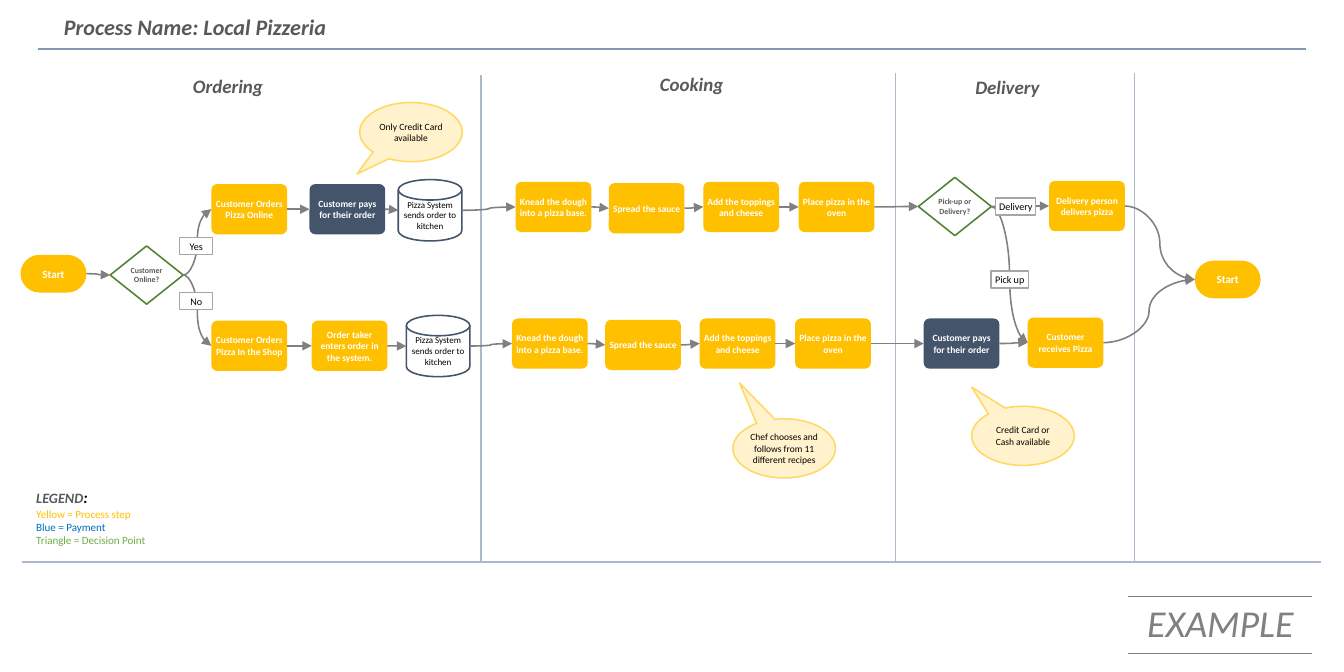
from lxml.etree import SubElement
from pptx import Presentation
from pptx.dml.color import RGBColor
from pptx.enum.shapes import MSO_CONNECTOR, MSO_SHAPE
from pptx.enum.text import MSO_ANCHOR, PP_ALIGN
from pptx.oxml import parse_xml
from pptx.oxml.ns import nsdecls, qn
from pptx.util import Cm, Pt

YELLOW, NAVY, WHITE, BLACK = "FFC000", "44546A", "FFFFFF", "000000"
DARK_GRAY, GRAY, LANE_BLUE = "595959", "808080", "ADB9CA"


def rgb(value):
    return RGBColor.from_string(value)


def write(paragraph, text, size, color=BLACK, bold=False, italic=False,
          align=PP_ALIGN.CENTER):
    paragraph.alignment = align
    run = paragraph.add_run()
    run.text = text
    font = run.font
    font.name, font.size = "Calibri", Pt(size)
    font.bold, font.italic = bold, italic
    font.color.rgb = rgb(color)


class ProcessMap:
    """Style and elements of the flow on one slide; lengths in centimetres."""

    def __init__(self, slide):
        self.slide = slide
        self.shapes = slide.shapes

    def title(self, text, left, top, width, height):
        title = self.shapes.title
        title.left, title.top, title.width, title.height = map(
            Cm, (left, top, width, height))
        title.text_frame.vertical_anchor = MSO_ANCHOR.TOP
        write(title.text_frame.paragraphs[0], text, 14, DARK_GRAY, True, True, PP_ALIGN.LEFT)

    def text_box(self, left, top, width, height):
        box = self.shapes.add_textbox(Cm(left), Cm(top), Cm(width), Cm(height))
        box.text_frame.word_wrap = True
        return box.text_frame

    def heading(self, text, left, top, width):
        frame = self.text_box(left, top, width, 0.76)
        write(frame.paragraphs[0], text, 12, DARK_GRAY, True, True)

    def shape(self, kind, text, box, fill=None, line=None, line_width=1,
              inset=0.05, adjustments=(), wrap=True, **text_format):
        shape = self.shapes.add_shape(kind, *map(Cm, box))
        shape.shadow.inherit = False
        for index, value in enumerate(adjustments):
            shape.adjustments[index] = value
        if fill:
            shape.fill.solid()
            shape.fill.fore_color.rgb = rgb(fill)
        else:
            shape.fill.background()
        if line:
            shape.line.color.rgb = rgb(line)
            shape.line.width = Pt(line_width)
        else:
            shape.line.fill.background()
        frame = shape.text_frame
        frame.word_wrap = wrap
        frame.vertical_anchor = MSO_ANCHOR.MIDDLE
        frame.margin_left = frame.margin_right = Cm(inset)
        frame.margin_top = frame.margin_bottom = Cm(inset)
        write(frame.paragraphs[0], text, **text_format)
        return shape

    def step(self, text, left, top, fill=YELLOW):
        return self.shape(MSO_SHAPE.ROUNDED_RECTANGLE, text, (left, top, 1.69, 1.12),
                          fill, adjustments=[0.116], size=6, color=WHITE, bold=True)

    def terminal(self, text, left, top):
        return self.shape(MSO_SHAPE.ROUNDED_RECTANGLE, text, (left, top, 1.47, 0.84),
                          YELLOW, adjustments=[0.5], size=7, color=WHITE, bold=True)

    def decision(self, text, left, top):
        return self.shape(MSO_SHAPE.DIAMOND, text, (left, top, 1.63, 1.3), line="548235",
                          inset=0, size=5, color=DARK_GRAY, bold=True)

    def system(self, text, left, top):
        return self.shape(MSO_SHAPE.FLOWCHART_MAGNETIC_DISK, text, (left, top, 1.42, 1.37),
                          WHITE, NAVY, inset=0.03, size=5.7)

    def callout(self, text, left, top, pointer):
        return self.shape(MSO_SHAPE.OVAL_CALLOUT, text, (left, top, 2.29, 1.32),
                          "FFF2CC", "FFD966", adjustments=pointer, size=6)

    def label(self, text, left, top, width):
        return self.shape(MSO_SHAPE.RECTANGLE, text, (left, top, width, 0.38), WHITE,
                          "A6A6A6", 0.75, wrap=False, size=6.4)

    def connector(self, kind, ends, color, width):
        connector = self.shapes.add_connector(kind, *ends)
        connector.line.color.rgb = rgb(color)
        connector.line.width = Pt(width)
        SubElement(connector._element.spPr, qn("a:effectLst"))
        return connector

    def rule(self, x1, y1, x2, y2, color=LANE_BLUE, width=1):
        self.connector(MSO_CONNECTOR.STRAIGHT, map(Cm, (x1, y1, x2, y2)), color, width)

    def flow(self, *stages):
        """Arrows from the right side of each stage to the left side of the next."""
        for source, target in zip(stages, stages[1:]):
            ends = (source.left + source.width, source.top + source.height // 2,
                    target.left, target.top + target.height // 2)
            arrow = self.connector(MSO_CONNECTOR.CURVE, ends, GRAY, 1)
            SubElement(arrow.line._get_or_add_ln(), qn("a:tailEnd"), type="triangle")
            # Disks number their connection sites differently, so their ends stay free
            disk = MSO_SHAPE.FLOWCHART_MAGNETIC_DISK
            if source.auto_shape_type != disk:
                arrow.begin_connect(source, 3)
            if target.auto_shape_type != disk:
                arrow.end_connect(target, 1)

    def stamp(self, text, left, top, width, height):
        table = self.shapes.add_table(1, 1, Cm(left), Cm(top), Cm(width), Cm(height)).table
        table.first_row = table.horz_banding = False
        cell = table.cell(0, 0)
        cell.fill.background()
        write(cell.text_frame.paragraphs[0], text, 24, GRAY, italic=True)
        borders = {"lnL": WHITE, "lnR": WHITE, "lnT": GRAY, "lnB": GRAY}
        for index, (side, color) in enumerate(borders.items()):
            cell._tc.get_or_add_tcPr().insert(index, parse_xml(
                f'<a:{side} {nsdecls("a")} w="{Pt(1)}"><a:solidFill>'
                f'<a:srgbClr val="{color}"/></a:solidFill></a:{side}>'))


def main():
    deck = Presentation()
    deck.slide_width, deck.slide_height = Cm(30), Cm(15)
    pizzeria = ProcessMap(deck.slides.add_slide(deck.slide_layouts[5]))

    # Title, lanes and headings
    pizzeria.title("Process Name: Local Pizzeria", 1.17, 0.18, 7.32, 0.86)
    pizzeria.rule(0.84, 1.09, 29.16, 1.09, "8497B0", 1.5)
    pizzeria.rule(0.48, 12.55, 29.49, 12.55)
    for x, top, bottom in [(10.74, 1.68, 12.52), (19.99, 1.63, 12.57), (25.32, 1.63, 12.57)]:
        pizzeria.rule(x, top, x, bottom)
    pizzeria.heading("Ordering", 3.78, 1.55, 2.62)
    pizzeria.heading("Cooking", 14.07, 1.5, 2.74)
    pizzeria.heading("Delivery", 21.36, 1.57, 2.26)

    # Ordering
    start = pizzeria.terminal("Start", 0.46, 5.69)
    is_online = pizzeria.decision("Customer Online?", 2.46, 5.49)
    order_online = pizzeria.step("Customer Orders Pizza Online", 4.72, 4.11)
    pay_online = pizzeria.step("Customer pays for their order", 6.91, 4.11, NAVY)
    order_in_shop = pizzeria.step("Customer Orders Pizza In the Shop", 4.72, 7.16)
    enter_order = pizzeria.step("Order taker enters order in the system.", 6.96, 7.16)
    online_system, shop_system = [
        pizzeria.system("Pizza System sends order to kitchen", left, top)
        for left, top in [(8.89, 4.01), (9.07, 7.04)]]

    # Cooking: the same four steps for both orders
    recipe = [("Knead the dough into a pizza base.", 11.51, 4.06),
              ("Spread the sauce", 13.59, 4.09),
              ("Add the toppings and cheese", 15.7, 4.06),
              ("Place pizza in the oven", 17.83, 4.06)]
    online_cooking, shop_cooking = [
        [pizzeria.step(text, left + dx, top + dy) for text, left, top in recipe]
        for dx, dy in [(0, 0), (-0.08, 3.05)]]

    # Delivery
    is_delivery = pizzeria.decision("Pick-up or Delivery?", 20.5, 3.96)
    deliver = pizzeria.step("Delivery person delivers pizza", 23.42, 4.04)
    pay_in_shop = pizzeria.step("Customer pays for their order", 20.62, 7.11, NAVY)
    receive = pizzeria.step("Customer receives Pizza", 22.94, 7.09)
    finish = pizzeria.terminal("Start", 26.67, 5.82)

    # Flow
    pizzeria.flow(start, is_online, order_online, pay_online, online_system,
                  *online_cooking, is_delivery, deliver, finish)
    pizzeria.flow(is_online, order_in_shop, enter_order, shop_system,
                  *shop_cooking, pay_in_shop, receive, finish)
    pizzeria.flow(is_delivery, receive)

    # Branch labels and remarks
    pizzeria.label("Yes", 4.01, 5.31, 0.74)
    pizzeria.label("No", 4.01, 6.53, 0.74)
    pizzeria.label("Pick up", 22.12, 6.05, 0.84)
    pizzeria.label("Delivery", 22.23, 4.42, 0.89)
    pizzeria.callout("Only Credit Card available", 8.03, 2.29, (-0.526, 0.708))
    pizzeria.callout("Chef chooses and follows from 11 different recipes",
                     16.36, 9.35, (-0.435, -1.107))
    pizzeria.callout("Credit Card or Cash available", 21.69, 9.07, (-0.499, -0.823))

    # Legend
    legend = pizzeria.text_box(0.56, 10.77, 3.91, 1.57)
    legend_head = legend.paragraphs[0]
    write(legend_head, "LEGEND", 9, DARK_GRAY, True, True, PP_ALIGN.LEFT)
    write(legend_head, ":", 10, BLACK, True, True, PP_ALIGN.LEFT)
    for text, color in [("Yellow = Process step", YELLOW), ("Blue = Payment", "0070C0"),
                        ("Triangle = Decision Point", "70AD47")]:
        write(legend.add_paragraph(), text, 7, color, align=PP_ALIGN.LEFT)

    # Stamp
    pizzeria.stamp("EXAMPLE", 25.17, 13.31, 4.14, 1.27)
    deck.save("out.pptx")


if __name__ == "__main__":
    main()
